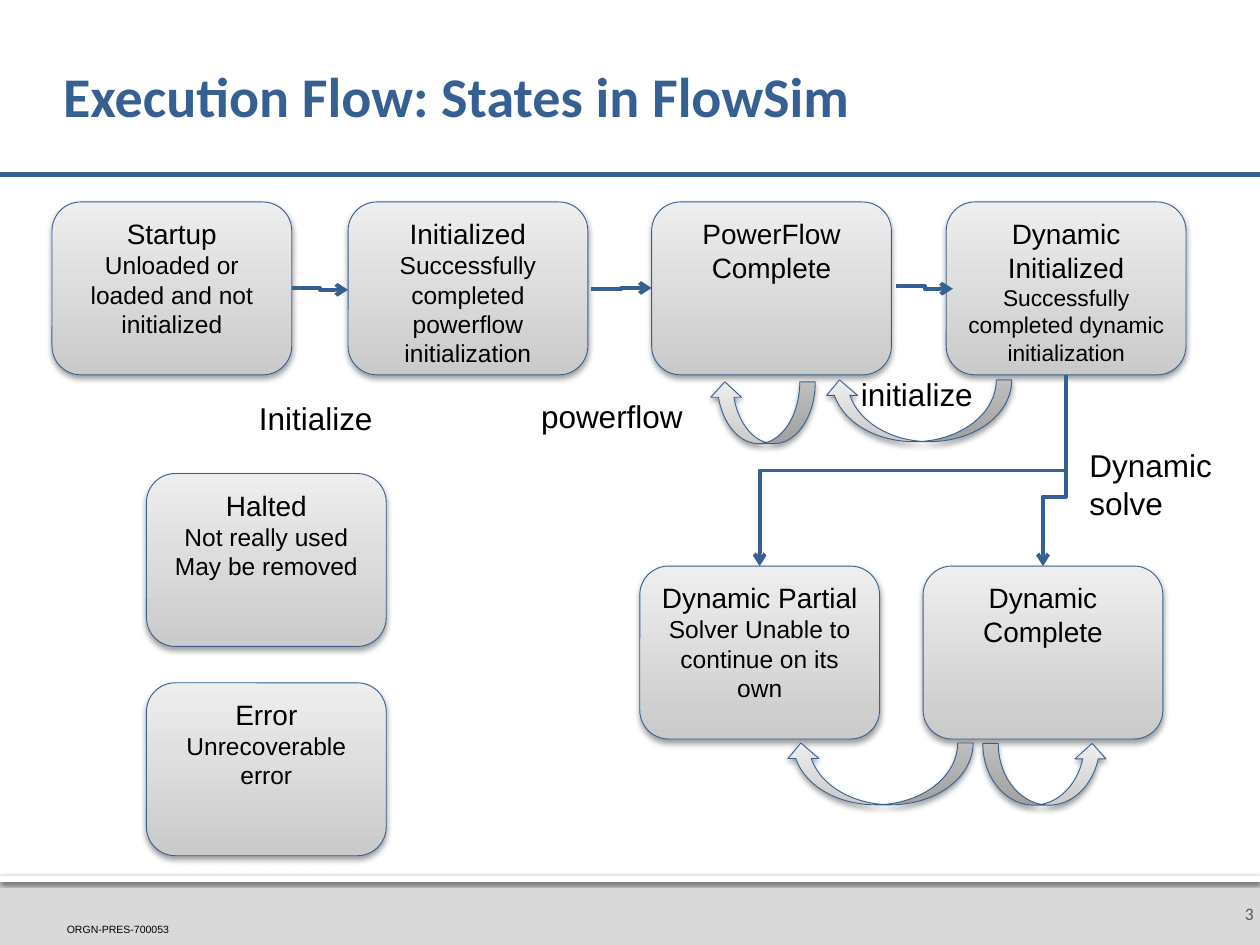
from dataclasses import dataclass

from lxml.etree import SubElement
from pptx import Presentation
from pptx.dml.color import RGBColor
from pptx.enum.shapes import MSO_CONNECTOR, MSO_SHAPE
from pptx.enum.text import MSO_ANCHOR, PP_ALIGN
from pptx.oxml.ns import qn
from pptx.util import Pt

BLUE = RGBColor(0x37, 0x60, 0x92)
BLACK = RGBColor(0, 0, 0)
WHITE = RGBColor(0xFF, 0xFF, 0xFF)
GRAY = RGBColor(0xD9, 0xD9, 0xD9)
SLATE = RGBColor(0x59, 0x59, 0x59)
DARK = RGBColor(0xCA, 0xCA, 0xCA)
LIGHT = RGBColor(0xEE, 0xEE, 0xEE)

WIDE, HIGH = 720, 540
BOX_W, BOX_H = 137, 98.8
ROW_TOP, ROW_LOW = 115.4, 323.5
SIDE = 83.7
LOOP_H = 35.3

PLAIN = dict(margin_left=Pt(7.2), margin_top=Pt(3.6),
             margin_right=Pt(7.2), margin_bottom=Pt(3.6))
BODY = PLAIN | dict(word_wrap=True, vertical_anchor=MSO_ANCHOR.TOP)
LABEL = PLAIN | dict(word_wrap=False, vertical_anchor=MSO_ANCHOR.TOP)
HEAD = PLAIN | dict(word_wrap=True, margin_left=Pt(0), margin_right=Pt(3.6),
                    vertical_anchor=MSO_ANCHOR.MIDDLE)
PAGE = HEAD | dict(margin_left=Pt(7.2))
CODE = dict.fromkeys(PLAIN, Pt(0)) | dict(
    word_wrap=False, vertical_anchor=MSO_ANCHOR.BOTTOM)


@dataclass
class State:
    left: float
    top: float
    name: str
    notes: tuple = ()
    size: float = 14


@dataclass
class Loop:
    left: float
    top: float
    width: float
    flip: bool = True


@dataclass
class Link:
    x1: float
    y1: float
    x2: float
    y2: float
    down: bool = False


@dataclass
class Note:
    left: float
    top: float
    width: float
    height: float
    lines: tuple


STATES = [
    State(29.7, ROW_TOP, "Startup", ("Unloaded or loaded and not initialized",)),
    State(198.9, ROW_TOP, "Initialized",
          ("Successfully completed powerflow initialization",)),
    State(372.4, ROW_TOP, "PowerFlow Complete"),
    State(540.7, ROW_TOP, "Dynamic Initialized",
          ("Successfully completed dynamic initialization",), 13),
    State(527.5, ROW_LOW, "Dynamic Complete"),
    State(365.6, ROW_LOW, "Dynamic Partial",
          ("Solver Unable to continue on its own",)),
    State(SIDE, 270.6, "Halted", ("Not really used", "May be removed")),
    State(SIDE, 390.2, "Error", ("Unrecoverable error",)),
]
LINKS = [
    Link(167, 164.6, 198.9, 165.6),
    Link(337.7, 165.4, 372.4, 164.6),
    Link(512.3, 163.7, 544.5, 165),
    Link(609.2, 244, 596, ROW_LOW, True),
    Link(609.2, 214.2, 434.1, ROW_LOW, True),
]
LOOPS = [
    Loop(561.6, 424.8, 71.3, False),
    Loop(448.8, 424.6, 107.3),
    Loop(470.9, 217.1, 107.3),
    Loop(405.4, 218.2, 60.5),
]
NOTES = [
    Note(140.8, 224.6, 79.9, 28.8, ("Initialize",)),
    Note(302.1, 223.2, 96.5, 28.8, ("powerflow",)),
    Note(484.8, 211, 79.2, 28.8, ("initialize",)),
    Note(615.4, 251.3, 90, 51.1, ("Dynamic", "solve")),
]


def put(item, look: dict) -> None:
    for key, value in look.items():
        setattr(item, key, value)


def write(frame, lines, look: dict, align=PP_ALIGN.LEFT, color=BLACK,
          face="Arial", bold=False) -> None:
    put(frame, look)
    for i, (text, size) in enumerate(lines):
        para = frame.paragraphs[0] if i == 0 else frame.add_paragraph()
        para.alignment = align
        run = para.add_run()
        run.text = text
        put(run.font, dict(size=Pt(size), name=face, bold=bold))
        run.font.color.rgb = color


def shade(shape, alpha: int, blur: float, drop: float) -> None:
    shape.shadow.inherit = False
    glow = shape._element.spPr.find(qn("a:effectLst"))
    cast = SubElement(glow, qn("a:outerShdw"), blurRad=str(Pt(blur)),
                      dist=str(Pt(drop)), dir="5400000", rotWithShape="0")
    tint = SubElement(cast, qn("a:srgbClr"), val="000000")
    SubElement(tint, qn("a:alpha"), val=str(alpha * 1000))


def draw_bar(slide, height: float, color: RGBColor):
    bar = slide.shapes.add_shape(
        MSO_SHAPE.RECTANGLE, Pt(0), Pt(500.4), Pt(WIDE), Pt(height))
    bar.fill.solid()
    bar.fill.fore_color.rgb = color
    bar.line.fill.background()
    bar.shadow.inherit = False
    return bar


def draw_block(slide, kind, left: float, top: float, width: float,
               height: float):
    block = slide.shapes.add_shape(kind, Pt(left), Pt(top), Pt(width), Pt(height))
    block.fill.gradient()
    block.fill.gradient_angle = 90
    for stop, color in zip(block.fill.gradient_stops, (DARK, LIGHT)):
        stop.color.rgb = color
    block.line.color.rgb = BLUE
    block.line.width = Pt(0.5)
    shade(block, 38, 3.5, 2)
    return block


def draw_state(slide, state: State) -> None:
    block = draw_block(slide, MSO_SHAPE.FLOWCHART_ALTERNATE_PROCESS,
                       state.left, state.top, BOX_W, BOX_H)
    lines = [(state.name, 16)] + [(note, state.size) for note in state.notes]
    write(block.text_frame, lines, BODY, PP_ALIGN.CENTER)


def draw_loop(slide, loop: Loop) -> None:
    block = draw_block(slide, MSO_SHAPE.CURVED_UP_ARROW,
                       loop.left, loop.top, loop.width, LOOP_H)
    if loop.flip:
        block._element.spPr.xfrm.set("flipH", "1")


def draw_line(slide, kind, link: Link, width: float):
    ends = link.x1, link.y1, link.x2, link.y2
    if link.down:
        mid_x, mid_y = (link.x1 + link.x2) / 2, (link.y1 + link.y2) / 2
        half_w, half_h = (link.y2 - link.y1) / 2, (link.x1 - link.x2) / 2
        ends = mid_x - half_w, mid_y - half_h, mid_x + half_w, mid_y + half_h
    line = slide.shapes.add_connector(kind, *map(Pt, ends))
    if link.down:
        line._element.spPr.xfrm.set("rot", "5400000")
    line.line.color.rgb = BLUE
    line.line.width = Pt(width)
    SubElement(line._element.spPr, qn("a:effectLst"))
    return line


def draw_link(slide, link: Link) -> None:
    line = draw_line(slide, MSO_CONNECTOR.ELBOW, link, 2.25)
    SubElement(line.line._ln, qn("a:tailEnd"), type="arrow")


def draw_note(slide, note: Note, size=18, look=LABEL, **style) -> None:
    box = slide.shapes.add_textbox(
        Pt(note.left), Pt(note.top), Pt(note.width), Pt(note.height))
    write(box.text_frame, [(text, size) for text in note.lines], look, **style)


def main() -> None:
    deck = Presentation()
    put(deck, dict(slide_width=Pt(WIDE), slide_height=Pt(HIGH)))
    slide = deck.slides.add_slide(deck.slide_layouts[5])
    draw_bar(slide, 39.6, GRAY)
    shade(draw_bar(slide, 3.6, WHITE), 60, 2.5, 0.8)
    draw_note(slide, Note(38.2, 527.6, 69.1, 7.2, ("ORGN-PRES-700053",)), 6, CODE)
    draw_note(slide, Note(694.8, 504, 25.2, 36, ("3",)), 10, PAGE,
              align=PP_ALIGN.RIGHT, color=SLATE, face="Calibri")
    draw_line(slide, MSO_CONNECTOR.STRAIGHT, Link(-0.7, 99.8, WIDE, 99.8), 3)
    title = slide.shapes.title
    put(title, dict(left=Pt(36), top=Pt(17.3), width=Pt(648), height=Pt(79.2)))
    write(title.text_frame, [("Execution Flow: States in FlowSim", 32)], HEAD,
          color=BLUE, face="Calibri", bold=True)
    title.text_frame.paragraphs[0].line_spacing = 0.9
    for draw, items in ((draw_state, STATES), (draw_link, LINKS),
                        (draw_loop, LOOPS), (draw_note, NOTES)):
        for item in items:
            draw(slide, item)
    deck.save("out.pptx")


if __name__ == "__main__":
    main()
